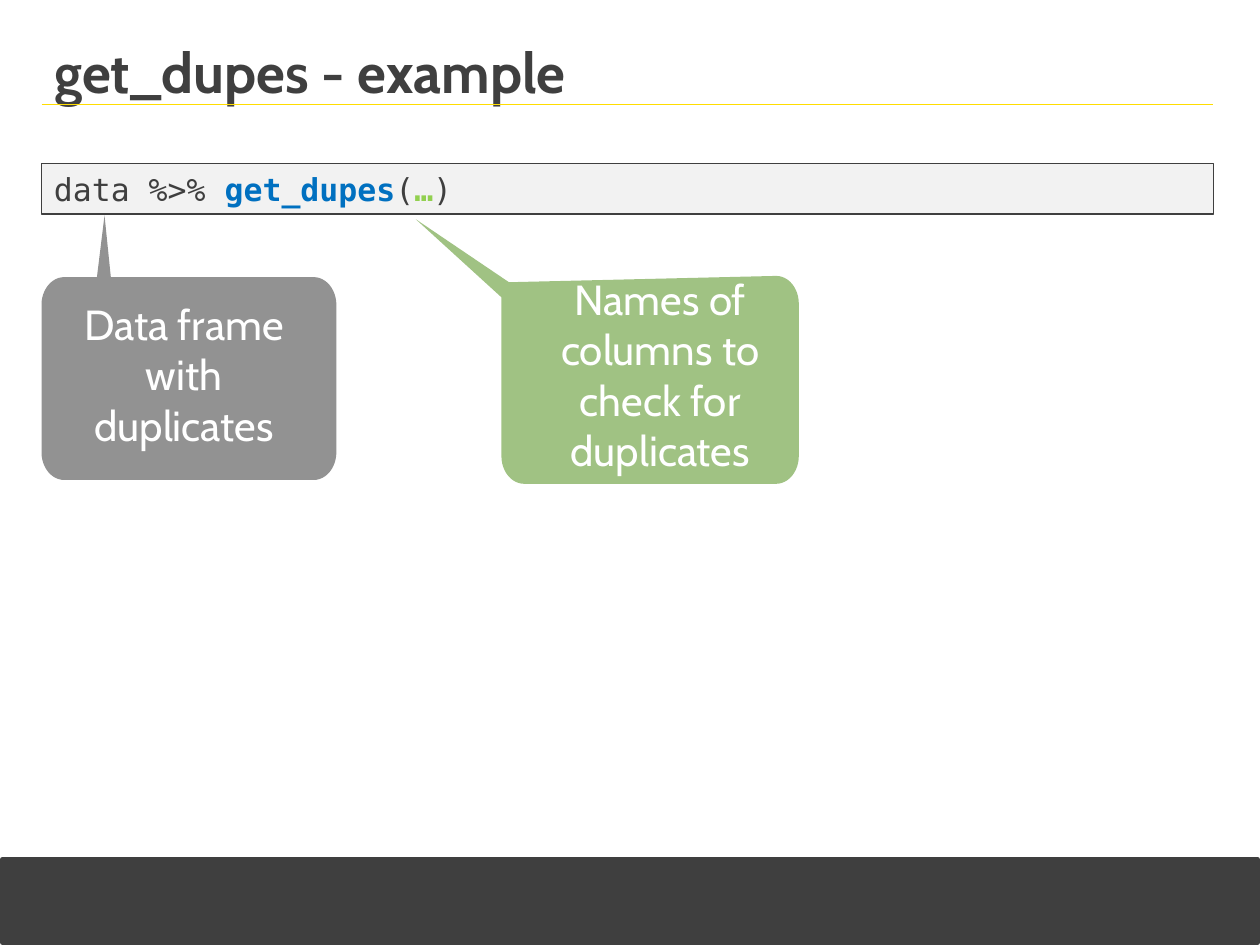
import math
from dataclasses import dataclass

import pptx
import pptx.dml.color
import pptx.enum.shapes
import pptx.enum.text
import pptx.oxml.ns
import pptx.util
from lxml import etree
from pptx.util import Inches

PP_ALIGN = pptx.enum.text.PP_ALIGN
MSO_ANCHOR = pptx.enum.text.MSO_ANCHOR


@dataclass(frozen=True)
class Theme:
    dark: str = "3F3F3F"
    yellow: str = "FFDD00"
    code_fill: str = "F2F2F2"
    blue: str = "0070C0"
    lime: str = "92D050"
    gray: str = "929292"
    green: str = "A0C283"
    white: str = "FFFFFF"
    font: str = "Cabin"
    mono: str = "DejaVu Sans Mono"
    title_size: int = 32
    callout_size: int = 24
    code_size: int = 18


THEME = Theme()
LEFT, WIDTH = 0.33, 9.3
# Start angle of each corner arc, going anticlockwise from the top left
CORNERS = {"top_left": 90, "bottom_left": 180, "bottom_right": 270, "top_right": 0}


def rgb(value):
    return pptx.dml.color.RGBColor.from_string(value)


def add_run(p, text, font, size, color, bold=False):
    r = p.add_run()
    r.text = text
    r.font.name = font
    r.font.size = pptx.util.Pt(size)
    r.font.bold = bold
    r.font.color.rgb = rgb(color)


def add_title(s, text):
    sp = s.shapes.title
    sp.left, sp.top, sp.width, sp.height = map(Inches, (LEFT, 0.3, WIDTH, 0.53))
    tf = sp.text_frame
    tf.vertical_anchor = MSO_ANCHOR.MIDDLE
    tf.auto_size = pptx.enum.text.MSO_AUTO_SIZE.NONE
    p = tf.paragraphs[0]
    p.alignment = PP_ALIGN.LEFT
    add_run(p, text, THEME.font, THEME.title_size, THEME.dark, True)


def add_box(s, box, fill, line_width):
    sp = s.shapes.add_shape(
        pptx.enum.shapes.MSO_SHAPE.RECTANGLE, *map(Inches, box))
    sp.shadow.inherit = False
    sp.fill.solid()
    sp.fill.fore_color.rgb = rgb(fill)
    sp.line.color.rgb = rgb(THEME.dark)
    sp.line.width = pptx.util.Pt(line_width)
    return sp


def add_rule(s, y):
    line = s.shapes.add_connector(
        pptx.enum.shapes.MSO_CONNECTOR.STRAIGHT,
        *map(Inches, (LEFT, y, LEFT + WIDTH, y)))
    line.line.color.rgb = rgb(THEME.yellow)
    line.line.width = pptx.util.Pt(1)
    etree.SubElement(line._element.spPr, pptx.oxml.ns.qn("a:effectLst"))


def add_code(s, pieces):
    """Pieces are (text, color, bold) tuples on a single line."""
    tf = add_box(s, (LEFT, 1.3, WIDTH, 0.4), THEME.code_fill, 0.75).text_frame
    tf.word_wrap = True
    tf.vertical_anchor = MSO_ANCHOR.TOP
    p = tf.paragraphs[0]
    p.alignment = PP_ALIGN.LEFT
    for text, color, bold in pieces:
        add_run(p, text, THEME.mono, THEME.code_size, color, bold)


def corner_arc(body, corner, rx=0.18, ry=0.22, steps=12):
    left, top, right, bottom = body
    cx = left + rx if "left" in corner else right - rx
    cy = top + ry if "top" in corner else bottom - ry
    for i in range(steps + 1):
        a = math.radians(CORNERS[corner] + 90 * i / steps)
        yield cx + rx * math.cos(a), cy - ry * math.sin(a)


def add_callout(s, body, tip, base, corners, fill):
    """Rounded body with a thin pointer from the two base points to the tip."""
    points = [tip, base[0]]
    for corner in corners:
        points.extend(corner_arc(body, corner))
    points.append(base[1])
    points = [(Inches(x), Inches(y)) for x, y in points]
    builder = s.shapes.build_freeform(*points[0])
    builder.add_line_segments(points[1:], close=True)
    sp = builder.convert_to_shape()
    sp.shadow.inherit = False
    sp.fill.solid()
    sp.fill.fore_color.rgb = rgb(fill)
    sp.line.fill.background()


def add_label(s, box, text):
    tf = s.shapes.add_textbox(*map(Inches, box)).text_frame
    tf.word_wrap = True
    p = tf.paragraphs[0]
    p.alignment = PP_ALIGN.CENTER
    add_run(p, text, THEME.font, THEME.callout_size, THEME.white)


def main():
    prs = pptx.Presentation()
    prs.slide_width, prs.slide_height = Inches(10), Inches(7.5)
    s = prs.slides.add_slide(prs.slide_layouts[5])

    add_box(s, (0.02, 6.82, 9.96, 0.66), THEME.dark, 3)
    add_rule(s, 0.83)
    add_title(s, "get_dupes - example")
    add_code(s, [
        ("data %>% ", THEME.dark, False),
        ("get_dupes", THEME.blue, True),
        ("(", THEME.dark, False),
        ("…", THEME.lime, True),
        (")", THEME.dark, False),
    ])

    add_callout(s, (LEFT, 2.2, 2.67, 3.81), (0.83, 1.71),
                ((0.77, 2.2), (0.88, 2.2)), list(CORNERS), THEME.gray)
    add_callout(s, (3.98, 2.19, 6.34, 3.84), (3.3, 1.74),
                ((3.98, 2.36), (4.04, 2.24)), list(CORNERS)[1:], THEME.green)
    add_label(s, (0.39, 2.32, 2.14, 1.31), "Data frame with duplicates")
    add_label(s, (4.17, 2.12, 2.14, 1.72),
              "Names of columns to check for duplicates")

    prs.save("out.pptx")


if __name__ == "__main__":
    main()
